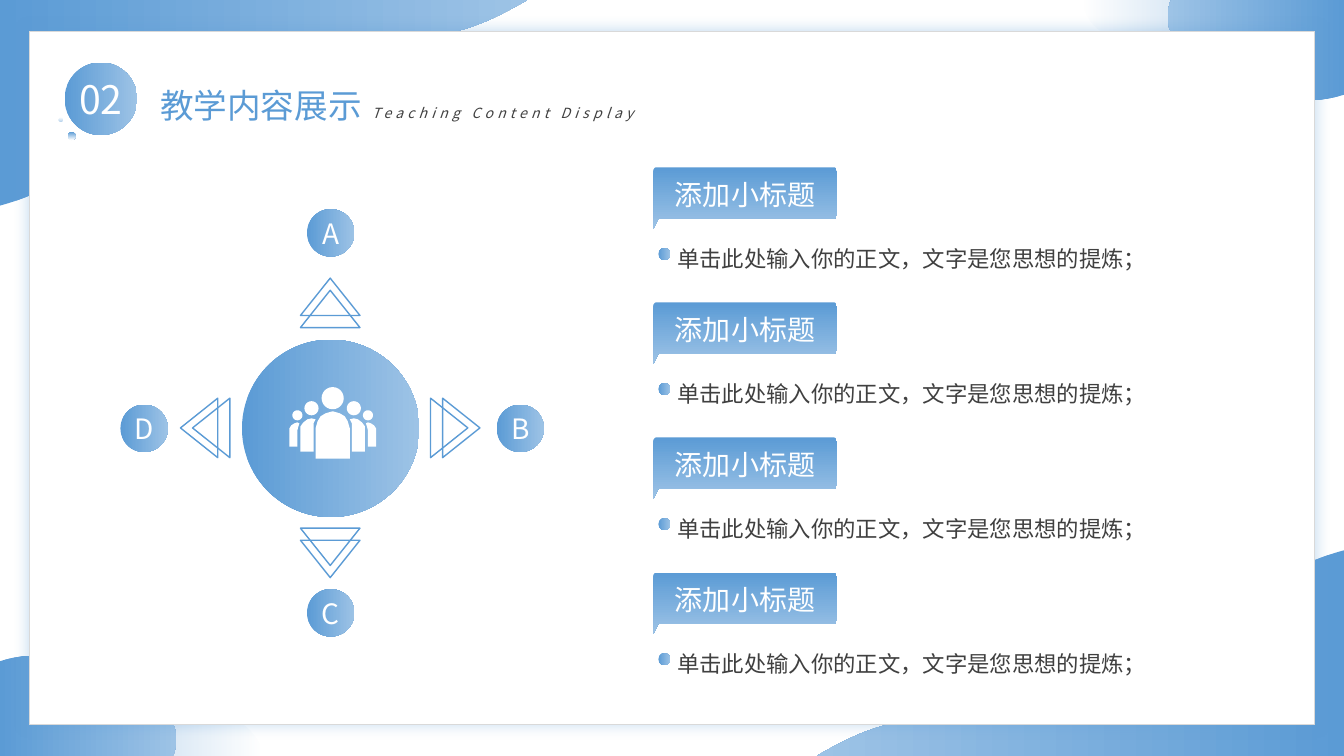
import math

import pptx
import pptx.dml.color
import pptx.enum.shapes
import pptx.enum.text
import pptx.oxml
import pptx.oxml.ns
import pptx.util
from pptx.util import Inches

RGB = pptx.dml.color.RGBColor
SHAPE = pptx.enum.shapes.MSO_SHAPE
ALIGN = pptx.enum.text.PP_ALIGN
ANCHOR = pptx.enum.text.MSO_ANCHOR
BLUE = RGB(0x5B, 0x9B, 0xD5)
LIGHT = RGB(0x9D, 0xC3, 0xE6)
WHITE = RGB(0xFF, 0xFF, 0xFF)
DARK = RGB(0x40, 0x40, 0x40)
BORDER = RGB(0xD9, 0xD9, 0xD9)
FONT = "Noto Sans CJK SC"
WIDTH, HEIGHT = 13.33, 7.5

NUMBER = "02"
TITLE = "教学内容展示"
SUBTITLE = "Teaching Content Display"
TOPICS = [("添加小标题", "单击此处输入你的正文，文字是您思想的提炼；")] * 4
BADGES = [("A", 0, 1.94), ("B", 90, 1.88), ("C", 180, 1.83), ("D", 270, 1.85)]

HUB = (3.28, 4.25)
ARROW_REACH = (1.3, 1.18)
ROW_TOP, ROW_STEP = 1.66, 1.34

TOP_LEFT_PALE = [
    (0, 0), (0, 2), (0.15, 1.96, 0.3, 1.89, 0.44, 1.75),
    (1.04, 1.17, 1.67, 1.05, 2.63, 1.04), (3.1, 1.03, 3.75, 0.98, 4.12, 0.73),
    (4.4, 0.55, 4.59, 0.27, 4.68, 0)]
TOP_LEFT = [
    (0, 0), (0, 2.04), (0.26, 1.97, 0.5, 1.86, 0.7, 1.72),
    (1.16, 1.4, 1.29, 1.03, 1.72, 0.71), (2.29, 0.3, 2.82, 0.27, 3.58, 0.34),
    (3.78, 0.35, 4.02, 0.37, 4.25, 0.35), (4.63, 0.33, 4.93, 0.17, 5.23, 0)]
BOTTOM_LEFT_PALE = [
    (2.59, 7.46), (2.53, 7.12, 1.99, 6.93, 1.39, 7.04),
    (1, 7.11, 0.68, 7.29, 0.52, 7.5), (2.59, 7.5)]
BOTTOM_LEFT = [
    (0.82, 6.56), (0.51, 6.48, 0.22, 6.49, 0, 6.56), (0, 7.5), (1.71, 7.5),
    (1.73, 7.48, 1.73, 7.45, 1.74, 7.42), (1.82, 7.09, 1.41, 6.7, 0.82, 6.56)]
WAVES = [(TOP_LEFT_PALE, True), (TOP_LEFT, False),
         (BOTTOM_LEFT_PALE, True), (BOTTOM_LEFT, False)]

BANNER = [
    (0.03, 0), (1.79, 0), (1.81, 0, 1.82, 0.02, 1.82, 0.05), (1.82, 0.47),
    (1.82, 0.49, 1.81, 0.51, 1.79, 0.51), (0.05, 0.51), (0, 0.61), (0, 0.05),
    (0, 0.02, 0.01, 0, 0.03, 0)]

ICON_X = 3.3
LEADER_HEAD = (0, 3.95, 0.11)
LEADER_HALF = [(0.17, 4.55), (0.17, 4.25), (0.15, 4.18), (0.12, 4.13),
               (0.07, 4.1), (0, 4.08)]
SIDE_HEADS = [(0.21, 4.05, 0.07), (0.35, 4.12, 0.05)]
SIDE_BODIES = [
    [(0.32, 4.48), (0.19, 4.48), (0.19, 4.25), (0.19, 4.2), (0.17, 4.16),
     (0.21, 4.15), (0.25, 4.16), (0.29, 4.19), (0.32, 4.23), (0.32, 4.27)],
    [(0.43, 4.43), (0.35, 4.43), (0.35, 4.27), (0.34, 4.23), (0.33, 4.2),
     (0.35, 4.19), (0.38, 4.2), (0.41, 4.22), (0.43, 4.25), (0.43, 4.28)]]

prs = pptx.Presentation()
prs.slide_width, prs.slide_height = Inches(WIDTH), Inches(HEIGHT)
s = prs.slides.add_slide(prs.slide_layouts[6])


def add_xml(parent, xml):
    ns = pptx.oxml.ns.nsdecls("a")
    parent.append(pptx.oxml.parse_xml(xml.format(ns=ns)))


def gradient(fill, start=BLUE, end=LIGHT, angle=0, alphas=None):
    fill.gradient()
    fill.gradient_angle = angle
    for stop, color in zip(fill.gradient_stops, (start, end)):
        stop.color.rgb = color
    if alphas:
        colors = fill._xPr.iter(pptx.oxml.ns.qn("a:srgbClr"))
        for color, alpha in zip(list(colors), alphas):
            add_xml(color, f'<a:alpha {{ns}} val="{alpha * 1000}"/>')


def shape(kind, x, y, w, h):
    sp = s.shapes.add_shape(kind, Inches(x), Inches(y), Inches(w), Inches(h))
    sp.shadow.inherit = False
    sp.line.fill.background()
    return sp


def disc(cx, cy, size, **fmt):
    sp = shape(SHAPE.OVAL, cx - size / 2, cy - size / 2, size, size)
    gradient(sp.fill, **fmt)
    return sp


def flatten(outline, steps=16):
    points = []
    for part in outline:
        if len(part) == 2:
            points.append(part)
            continue
        knots = [points[-1], part[:2], part[2:4], part[4:]]
        for i in range(1, steps + 1):
            t = i / steps
            weights = [math.comb(3, k) * t**k * (1 - t)**(3 - k) for k in range(4)]
            points.append(tuple(sum(w * p[axis] for w, p in zip(weights, knots))
                                for axis in (0, 1)))
    return points


def circle(cx, cy, radius):
    angles = [math.radians(15 * i) for i in range(24)]
    return [(cx + radius * math.cos(a), cy + radius * math.sin(a)) for a in angles]


def freeform(contours):
    contours = [[(Inches(x), Inches(y)) for x, y in c] for c in contours]
    builder = s.shapes.build_freeform(*contours[0][0], scale=1.0)
    for i, points in enumerate(contours):
        if i:
            builder.move_to(*points[0])
        builder.add_line_segments(points[1:], close=True)
    sp = builder.convert_to_shape()
    sp.shadow.inherit = False
    sp.line.fill.background()
    return sp


def write(tf, text, size, color=None, align=ALIGN.LEFT, italic=None,
          spacing=None, line_spacing=None):
    tf.word_wrap = True
    p = tf.paragraphs[0]
    p.alignment = align
    if line_spacing:
        p.line_spacing = line_spacing
    r = p.add_run()
    r.text = text
    r.font.size = pptx.util.Pt(size)
    r.font.italic = italic
    if color is None:
        gradient(r.font.fill, angle=315)
    else:
        r.font.color.rgb = color
    r.font.name = FONT
    rpr = r._r.get_or_add_rPr()
    add_xml(rpr, f'<a:ea {{ns}} typeface="{FONT}"/>')
    if spacing:
        rpr.set("spc", str(spacing * 100))


def textbox(x, y, w, h, text, size, **fmt):
    box = s.shapes.add_textbox(Inches(x), Inches(y), Inches(w), Inches(h))
    write(box.text_frame, text, size, **fmt)


def label(sp, text, size):
    tf = sp.text_frame
    tf.margin_left = tf.margin_right = tf.margin_top = tf.margin_bottom = 0
    tf.vertical_anchor = ANCHOR.MIDDLE
    write(tf, text, size, color=WHITE, align=ALIGN.CENTER)


for turned in (False, True):
    for outline, pale in WAVES:
        points = flatten(outline)
        if turned:
            points = [(WIDTH - x, HEIGHT - y) for x, y in points]
        gradient(freeform([points]).fill, end=BLUE if pale else LIGHT,
                 angle=180 if turned else 0, alphas=(50, 0) if pale else None)

card = shape(SHAPE.RECTANGLE, 0.29, 0.31, 12.75, 6.88)
card.fill.solid()
card.fill.fore_color.rgb = WHITE
card.line.color.rgb = BORDER
card.line.width = pptx.util.Pt(0.5)
add_xml(card._element.spPr.find(pptx.oxml.ns.qn("a:effectLst")),
        '<a:outerShdw {ns} blurRad="127000" dist="0" dir="5400000" algn="ctr" '
        f'rotWithShape="0"><a:srgbClr val="{BLUE}"><a:alpha val="35000"/>'
        '</a:srgbClr></a:outerShdw>')

label(disc(1, 0.98, 0.72), NUMBER, 28)
disc(0.71, 1.35, 0.08, end=WHITE, angle=270)
disc(0.6, 1.19, 0.04, end=BLUE, angle=270, alphas=(0, 50))
textbox(1.49, 0.79, 2.4, 0.5, TITLE, 24)
textbox(3.59, 0.99, 4.22, 0.27, SUBTITLE, 10, color=DARK, italic=True, spacing=3)

disc(*HUB, 1.76)
for letter, turn, reach in BADGES:
    dx, dy = math.sin(math.radians(turn)), -math.cos(math.radians(turn))
    for distance in ARROW_REACH:
        arrow = shape(SHAPE.ISOSCELES_TRIANGLE, HUB[0] + dx * distance - 0.3,
                      HUB[1] + dy * distance - 0.19, 0.59, 0.37)
        arrow.rotation = turn
        arrow.fill.background()
        arrow.line.color.rgb = BLUE
        arrow.line.width = pptx.util.Pt(1)
    label(disc(HUB[0] + dx * reach, HUB[1] + dy * reach, 0.47), letter, 20)

leader = LEADER_HALF + [(-dx, y) for dx, y in reversed(LEADER_HALF)]
people = [circle(*LEADER_HEAD), leader]
for side in (1, -1):
    people += [circle(side * dx, y, radius) for dx, y, radius in SIDE_HEADS]
    people += [[(side * dx, y) for dx, y in body] for body in SIDE_BODIES]
icon = freeform([[(ICON_X + dx, y) for dx, y in c] for c in people])
icon.fill.solid()
icon.fill.fore_color.rgb = WHITE

for i, (heading, body) in enumerate(TOPICS):
    top = ROW_TOP + i * ROW_STEP
    banner = freeform([[(6.48 + x, top + y) for x, y in flatten(BANNER)]])
    gradient(banner.fill, angle=270)
    textbox(6.57, top + 0.05, 1.64, 0.44, heading, 20, color=WHITE, align=ALIGN.CENTER)
    textbox(6.62, top + 0.64, 5.8, 0.42, body, 16, color=DARK, line_spacing=1.3)
    disc(6.59, top + 0.86, 0.12)

prs.save("out.pptx")
